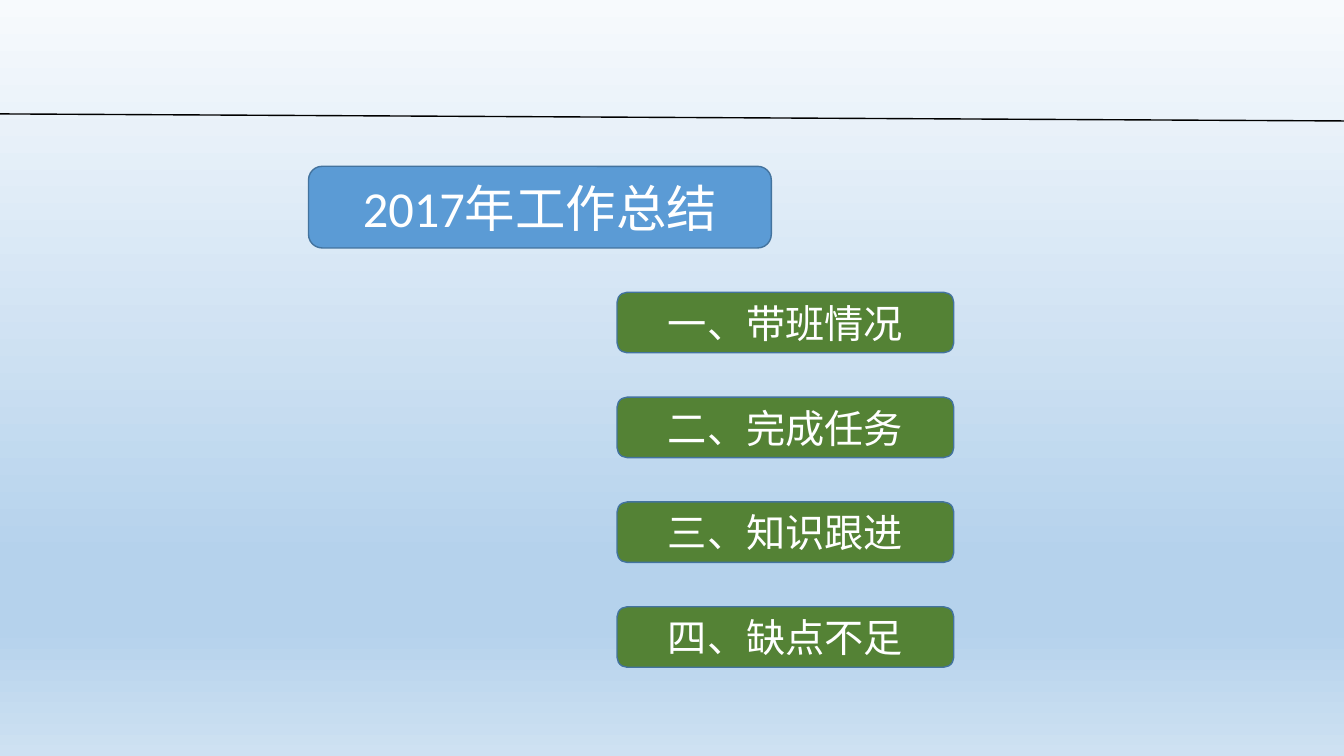
import pptx
import pptx.dml.color
import pptx.enum.shapes
import pptx.enum.text
import pptx.oxml.ns
import pptx.util
from lxml import etree
from pptx.util import Inches

COLORS = {
    "title": "5B9BD5",
    "item": "548235",
    "outline": "43739E",
    "text": "FFFFFF",
    "rule": "000000",
}
BACKGROUND_STOPS = [(0, "F7FAFD"), (74, "B5D2EC"), (83, "B5D2EC"), (100, "CEE1F2")]
FONT = "Calibri"
ITEMS = ["一、带班情况", "二、完成任务", "三、知识跟进", "四、缺点不足"]
ITEM_TOP = 2.9
ITEM_STEP = 1.04


def rgb(name):
    return pptx.dml.color.RGBColor.from_string(COLORS[name])


def set_background(slide):
    fill = slide.background.fill
    fill.gradient()
    fill.gradient_angle = 270  # counter-clockwise, so top to bottom
    qn = pptx.oxml.ns.qn
    stop_list = next(slide.element.iter(qn("a:gsLst")))
    for stop in list(stop_list):
        stop_list.remove(stop)
    for percent, color in BACKGROUND_STOPS:
        stop = etree.SubElement(stop_list, qn("a:gs"), pos=str(percent * 1000))
        etree.SubElement(stop, qn("a:srgbClr"), val=color)


def add_rule(slide, start, end):
    connector = slide.shapes.add_connector(
        pptx.enum.shapes.MSO_CONNECTOR.STRAIGHT,
        Inches(start[0]), Inches(start[1]), Inches(end[0]), Inches(end[1]))
    connector.line.color.rgb = rgb("rule")
    connector.line.width = pptx.util.Pt(1)
    properties = connector.element.spPr
    etree.SubElement(properties, pptx.oxml.ns.qn("a:effectLst"))


def add_box(slide, text, left, top, width, height, color, size):
    shape = slide.shapes.add_shape(
        pptx.enum.shapes.MSO_SHAPE.ROUNDED_RECTANGLE,
        Inches(left), Inches(top), Inches(width), Inches(height))
    shape.shadow.inherit = False
    shape.fill.solid()
    shape.fill.fore_color.rgb = rgb(color)
    shape.line.color.rgb = rgb("outline")
    shape.line.width = pptx.util.Pt(1)

    frame = shape.text_frame
    frame.word_wrap = True
    frame.vertical_anchor = pptx.enum.text.MSO_ANCHOR.MIDDLE
    paragraph = frame.paragraphs[0]
    paragraph.alignment = pptx.enum.text.PP_ALIGN.CENTER
    run = paragraph.add_run()
    run.text = text
    run.font.name = FONT
    run.font.size = pptx.util.Pt(size)
    run.font.color.rgb = rgb("text")


def main():
    presentation = pptx.Presentation()
    presentation.slide_width = Inches(13.33)
    presentation.slide_height = Inches(7.5)
    slide = presentation.slides.add_slide(presentation.slide_layouts[6])
    set_background(slide)

    # Title and the line above it
    add_box(slide, "2017年工作总结", 3.06, 1.65, 4.59, 0.81, "title", 36)
    add_rule(slide, (0, 1.13), (13.33, 1.2))

    # Agenda items
    for index, item in enumerate(ITEMS):
        top = ITEM_TOP + index * ITEM_STEP
        add_box(slide, item, 6.12, top, 3.34, 0.6, "item", 28)

    presentation.save("out.pptx")


if __name__ == "__main__":
    main()
